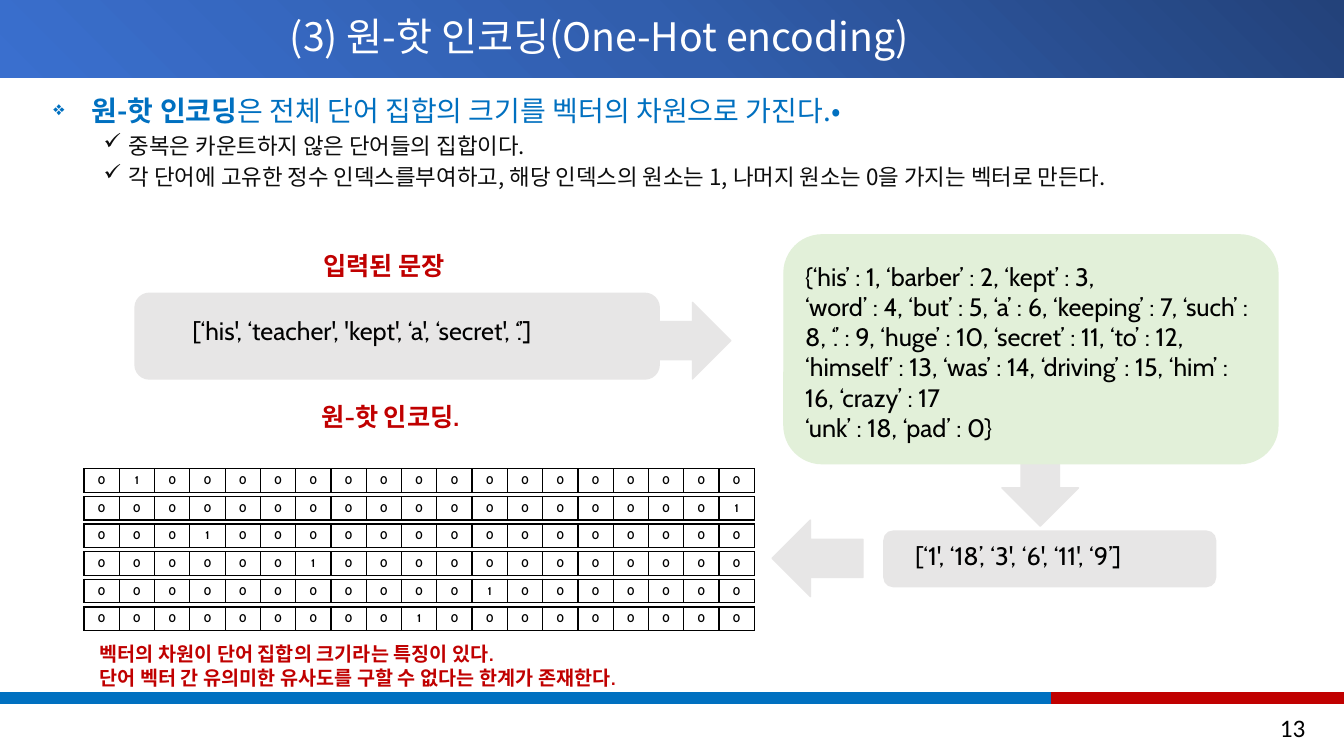
import pptx
import pptx.util
import pptx.dml.color
import pptx.enum.shapes
import pptx.enum.text
import pptx.oxml
import pptx.oxml.ns
from lxml import etree

Pt = pptx.util.Pt
Color = pptx.dml.color.RGBColor
Shape = pptx.enum.shapes.MSO_SHAPE
Align = pptx.enum.text.PP_ALIGN
Anchor = pptx.enum.text.MSO_ANCHOR

BLACK = Color(0x00, 0x00, 0x00)
INK = Color(0x0D, 0x0D, 0x0D)
WHITE = Color(0xFF, 0xFF, 0xFF)
BLUE = Color(0x00, 0x70, 0xC0)
RED = Color(0xC0, 0x00, 0x00)
GRAY = Color(0xE7, 0xE6, 0xE6)
GREEN = Color(0xE2, 0xF0, 0xD9)
KOREAN, LATIN, NUMBER = "Noto Sans CJK KR", "Cabin", "Calibri"
HEADER_STOPS = [(0, "23427A"), (50000, "315EAD"), (100000, "3A6FCE")]

HEADER_AREA = (0, 0, 960, 55.5)
FOOTER_BARS = [
    (Shape.RECTANGLE, (0, 494.6, 751, 8), 0, BLUE),
    (Shape.RECTANGLE, (751, 494.6, 209, 8), 0, RED),
]
FLOW_SHAPES = [
    (Shape.RIGHT_ARROW, (419.8, 216, 102.2, 54.7), 0, GRAY),
    (Shape.ROUNDED_RECTANGLE, (96.5, 209.5, 374.4, 61.2), 0, GRAY),
    (Shape.ROUNDED_RECTANGLE, (631.4, 379.4, 236.9, 39.6), 0, GRAY),
    (Shape.RIGHT_ARROW, (691.9, 297.4, 102.2, 54.7), 90, GRAY),
    (Shape.ROUNDED_RECTANGLE, (560, 167.8, 352.8, 163.4), 0, GREEN),
    (Shape.RIGHT_ARROW, (551.5, 371.5, 64.8, 54.7), 180, GRAY),
]

TITLE_AREA = (31, 0, 794, 55.5)
TITLE = "(3) 원-핫 인코딩(One-Hot encoding)"
BODY_AREA = (31, 66.2, 909.4, 417.6)
BODY = [
    (0, "❖", 70, 27.4, 27.4, 20, BLUE, 0,
     [("원-핫 인코딩", True), ("은 전체 단어 집합의 크기를 벡터의 차원으로 가진다.•", False)]),
    (1, "✓", 100, 54, 18, 16, INK, 5,
     [("중복은 카운트하지 않은 단어들의 집합이다.", False)]),
    (1, "✓", 100, 54, 18, 16, INK, 5,
     [("각 단어에 고유한 정수 인덱스를부여하고, 해당 인덱스의 원소는 1, 나머지 원소는 0을 가지는 벡터로 만든다.", False)]),
]
LABELS = [
    ((130.3, 221.8, 350, 29), 18, False, BLACK, ["[‘his', ‘teacher', 'kept', ‘a', ‘secret', ‘.’]"]),
    ((223.9, 175, 130, 29), 18, True, RED, ["입력된 문장"]),
    ((646.6, 382.3, 221, 29), 18, False, BLACK, ["[‘1', ‘18’, ‘3', ‘6', ‘11', ‘9’]"]),
    ((568.1, 182.9, 334.8, 138.2), 18, False, BLACK, [
        "{‘his’ : 1, ‘barber’ : 2, ‘kept’ : 3,",
        "‘word’ : 4, ‘but’ : 5, ‘a’ : 6, ‘keeping’ : 7, ‘such’ : 8, ‘.’ : 9, ‘huge’ : 10, "
        "‘secret’ : 11, ‘to’ : 12, ‘himself’ : 13, ‘was’ : 14, ‘driving’ : 15, ‘him’ : 16, ‘crazy’ : 17",
        "‘unk’ : 18, ‘pad’ : 0}",
    ]),
    ((222.5, 283, 130, 29), 18, True, RED, ["원-핫 인코딩."]),
    ((64.1, 455, 650.9, 41), 14, True, RED, [
        "벡터의 차원이 단어 집합의 크기라는 특징이 있다.",
        "단어 벡터 간 유의미한 유사도를 구할 수 없다는 한계가 존재한다.",
    ]),
]
PAGE_NUMBER_AREA = (770.4, 505.4, 169.2, 29)

HOT_INDEXES = [1, 18, 3, 6, 11, 9]
VOCABULARY_SIZE = 19
VECTOR_LEFT, VECTOR_TOP, VECTOR_PITCH = 60, 334.8, 19.75
VECTOR_WIDTH, VECTOR_HEIGHT = 478.8, 16.6


def add_element(parent, tag, **attributes):
    return etree.SubElement(parent, pptx.oxml.ns.qn("a:" + tag), attributes)


def add_block(page, kind, area, rotation, color):
    shape = page.shapes.add_shape(kind, *map(Pt, area))
    shape.shadow.inherit = False
    shape.rotation = rotation
    shape.fill.solid()
    shape.fill.fore_color.rgb = color
    shape.line.color.rgb = color
    shape.line.width = Pt(1)
    return shape


def add_header(page):
    header = add_block(page, Shape.RECTANGLE, HEADER_AREA, 0, BLUE)
    header.line.fill.background()
    header.fill.gradient()
    gradient = header.fill._xPr.find(pptx.oxml.ns.qn("a:gradFill"))
    for child in list(gradient):
        gradient.remove(child)
    stops = add_element(gradient, "gsLst")
    for position, color in HEADER_STOPS:
        add_element(add_element(stops, "gs", pos=str(position)), "srgbClr", val=color)
    circle = add_element(gradient, "path", path="circle")
    add_element(circle, "fillToRect", l="100000", b="100000")


def add_frame(page, area):
    frame = page.shapes.add_textbox(*map(Pt, area)).text_frame
    frame.word_wrap = True
    return frame


def paragraphs(frame, items):
    for index, item in enumerate(items):
        yield (frame.add_paragraph() if index else frame.paragraphs[0]), item


def add_span(para, text, font, size, color, bold=False):
    span = para.add_run()
    span.text = text
    for name, value in {"name": font, "size": Pt(size), "bold": bold}.items():
        setattr(span.font, name, value)
    span.font.color.rgb = color
    add_element(span.font._element, "ea", typeface=font)


def add_title(page):
    frame = add_frame(page, TITLE_AREA)
    frame.vertical_anchor = Anchor.MIDDLE
    para = frame.paragraphs[0]
    para.alignment = Align.CENTER
    para.line_spacing = 0.9
    add_span(para, TITLE, KOREAN, 28, WHITE)


def add_body(page):
    frame = add_frame(page, BODY_AREA)
    for para, item in paragraphs(frame, BODY):
        level, bullet, scale, margin, hanging, size, color, before, spans = item
        for name, value in {"level": level, "line_spacing": 0.9, "space_before": Pt(before)}.items():
            setattr(para, name, value)
        settings = para._p.get_or_add_pPr()
        settings.set("marL", str(Pt(margin)))
        settings.set("indent", str(-Pt(hanging)))
        add_element(settings, "buSzPct", val=str(scale * 1000))
        add_element(settings, "buChar", char=bullet)
        for text, bold in spans:
            add_span(para, text, KOREAN, size, color, bold)


def add_label(page, area, size, bold, color, lines):
    for para, line in paragraphs(add_frame(page, area), lines):
        add_span(para, line, LATIN, size, color, bold)


def add_vector(page, order, hot_index):
    top = VECTOR_TOP + order * VECTOR_PITCH
    table = page.shapes.add_table(1, VOCABULARY_SIZE, Pt(VECTOR_LEFT), Pt(top),
                                  Pt(VECTOR_WIDTH), Pt(VECTOR_HEIGHT)).table
    for index, cell in enumerate(table.iter_cells()):
        table.columns[index].width = Pt(VECTOR_WIDTH / VOCABULARY_SIZE)
        para = cell.text_frame.paragraphs[0]
        para.alignment = Align.CENTER
        add_span(para, str(int(index == hot_index)), LATIN, 8, BLACK, True)
        settings = cell._tc.get_or_add_tcPr()
        for side in ("lnL", "lnR", "lnT", "lnB"):
            border = add_element(settings, side, w=str(Pt(1)))
            add_element(add_element(border, "solidFill"), "srgbClr", val=str(BLACK))
        cell.fill.solid()
        cell.fill.fore_color.rgb = WHITE


def main():
    deck = pptx.Presentation()
    deck.slide_width, deck.slide_height = Pt(960), Pt(540)
    page = deck.slides.add_slide(deck.slide_layouts[6])
    add_header(page)
    for block in FOOTER_BARS + FLOW_SHAPES:
        add_block(page, *block)
    add_title(page)
    add_body(page)
    for label in LABELS:
        add_label(page, *label)
    for order, hot_index in enumerate(HOT_INDEXES):
        add_vector(page, order, hot_index)
    number = add_frame(page, PAGE_NUMBER_AREA).paragraphs[0]
    number.alignment = Align.RIGHT
    add_span(number, "13", NUMBER, 18, BLACK)
    deck.save("out.pptx")


if __name__ == "__main__":
    main()
